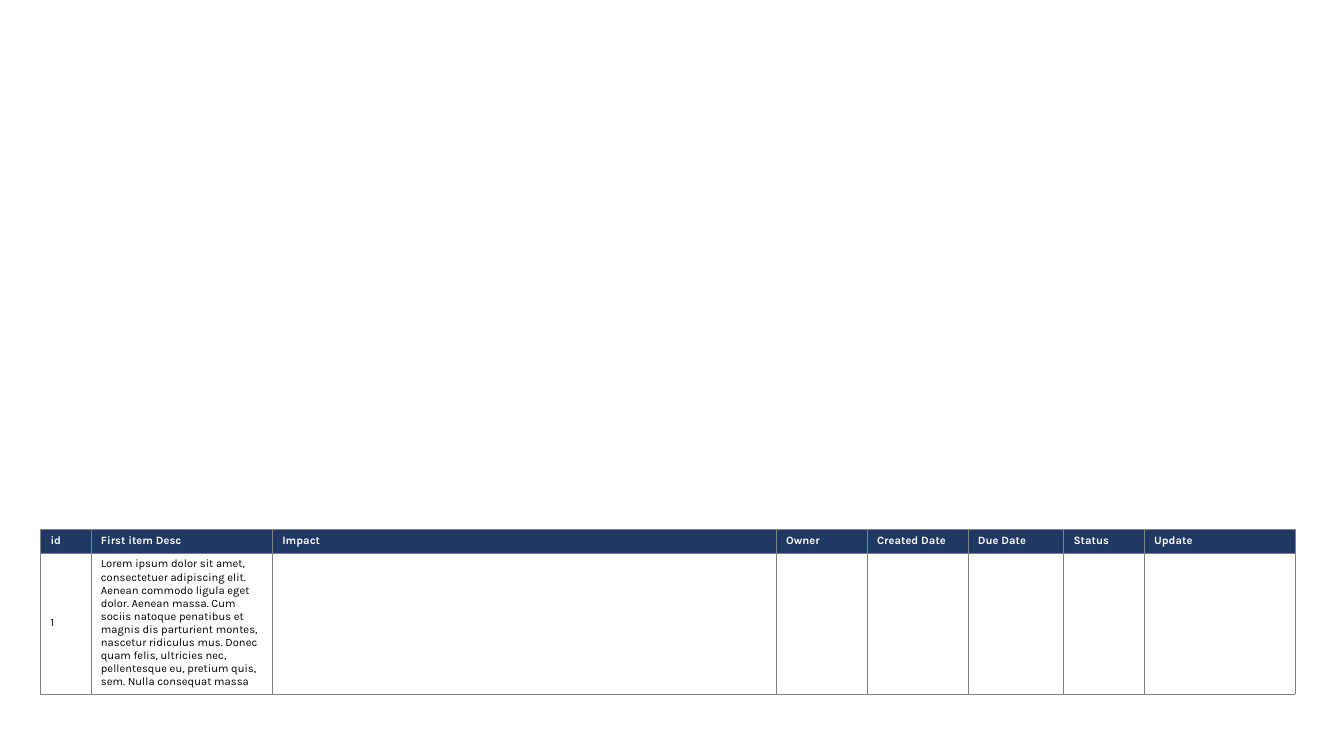
from lxml.etree import SubElement
from pptx import Presentation
from pptx.dml.color import RGBColor
from pptx.enum.text import MSO_ANCHOR as Anchor
from pptx.oxml.ns import qn
from pptx.util import Cm, Pt

NAVY, WHITE, BLACK, GREY = "1F3864", "FFFFFF", "000000", "818181"
HEADINGS = ["id", "First item Desc", "Impact", "Owner",
            "Created Date", "Due Date", "Status", "Update"]
FIRST_ITEM = ["1", "Lorem ipsum dolor sit amet, consectetuer adipiscing elit. "
              "Aenean commodo ligula eget dolor. Aenean massa. Cum sociis natoque "
              "penatibus et magnis dis parturient montes, nascetur ridiculus mus. "
              "Donec quam felis, ultricies nec, pellentesque eu, pretium quis, sem. "
              "Nulla consequat massa", "", "", "", "", "", ""]
COLUMN_WIDTHS = [1.27, 4.57, 12.7, 2.29, 2.54, 2.41, 2.03, 3.81]
ROW_HEIGHTS = [0.58, 3.55]


def color(hex_string):
    return RGBColor.from_string(hex_string)


def add_borders(cell, hex_string, width):
    properties = cell._tc.get_or_add_tcPr()
    for side in ("a:lnL", "a:lnR", "a:lnT", "a:lnB"):
        line = SubElement(properties, qn(side), w=str(int(width)))
        fill = SubElement(line, qn("a:solidFill"))
        SubElement(fill, qn("a:srgbClr"), val=hex_string)


# Slide
presentation = Presentation()
presentation.slide_width, presentation.slide_height = Cm(33.87), Cm(19.05)
slide = presentation.slides.add_slide(presentation.slide_layouts[6])

# Item table
shape = slide.shapes.add_table(
    len(ROW_HEIGHTS), len(COLUMN_WIDTHS), Cm(1.02), Cm(13.34),
    Cm(sum(COLUMN_WIDTHS)), Cm(sum(ROW_HEIGHTS)))
table = shape.table
table.horz_banding = False
for column, width in zip(table.columns, COLUMN_WIDTHS):
    column.width = Cm(width)
for row, height in zip(table.rows, ROW_HEIGHTS):
    row.height = Cm(height)

# Cells: navy heading row, plain item row
for row_index, texts in enumerate([HEADINGS, FIRST_ITEM]):
    is_heading = row_index == 0
    for column_index, text in enumerate(texts):
        cell = table.cell(row_index, column_index)
        cell.vertical_anchor = Anchor.MIDDLE
        add_borders(cell, GREY, Pt(0.1))
        if is_heading:
            cell.fill.solid()
            cell.fill.fore_color.rgb = color(NAVY)
        else:
            cell.fill.background()
        if text:
            cell.text_frame.text = text
            font = cell.text_frame.paragraphs[0].runs[0].font
            font.name, font.size, font.bold = "Karla", Pt(8), is_heading
            font.color.rgb = color(WHITE if is_heading else BLACK)

presentation.save("out.pptx")
